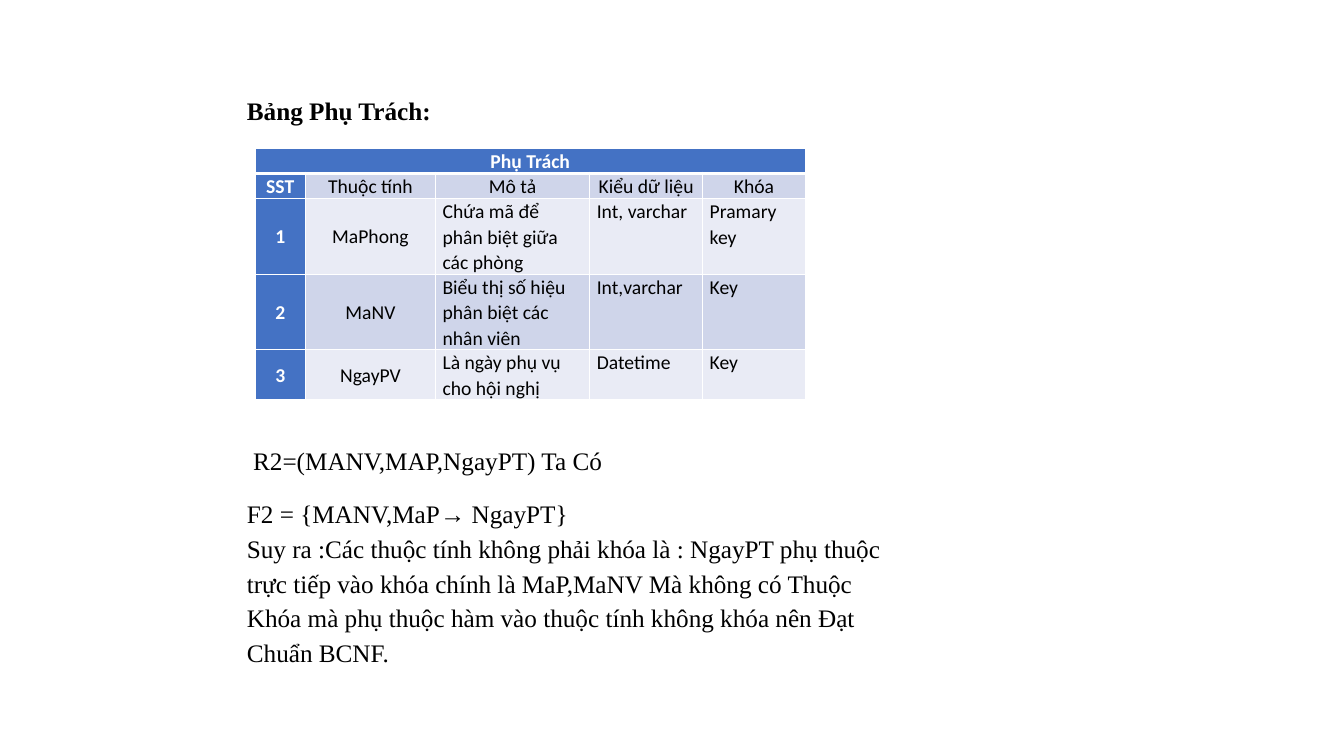
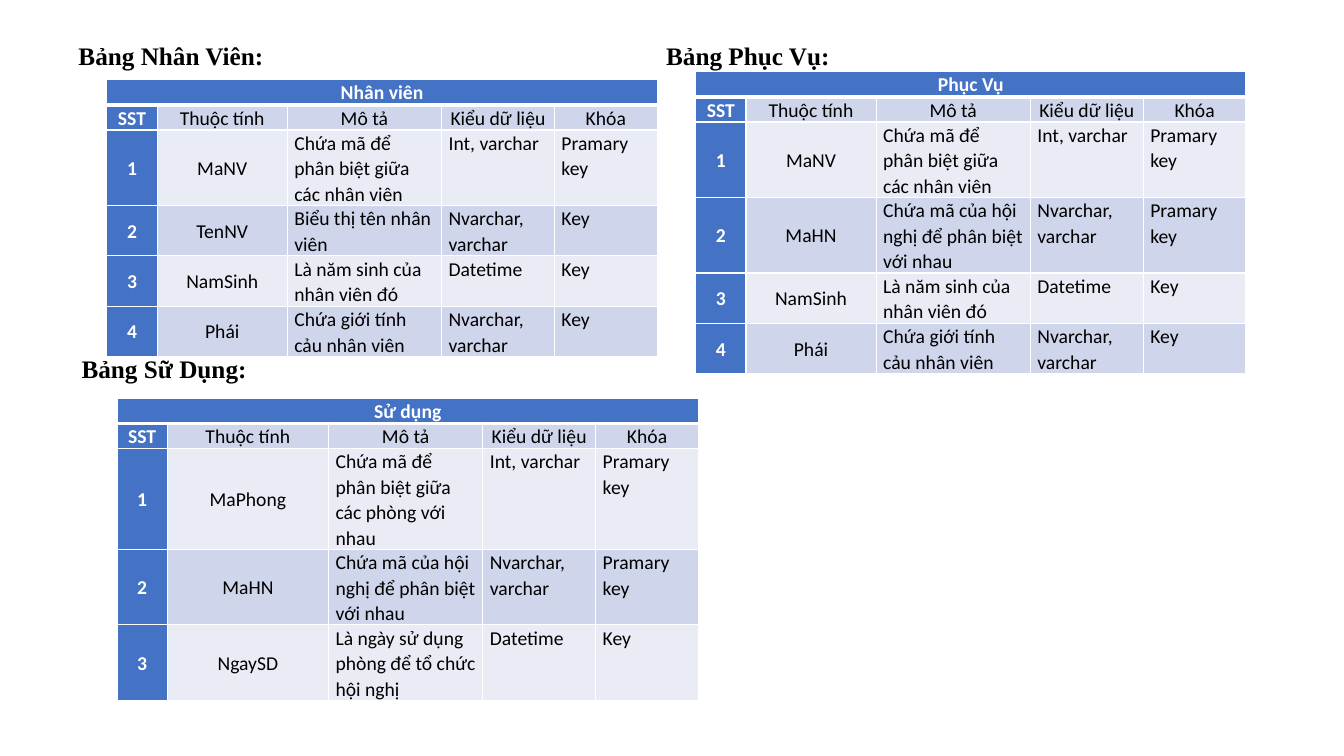
from math import ceil

from lxml.etree import SubElement
from pptx import Presentation
from pptx.dml.color import RGBColor
from pptx.enum.text import MSO_ANCHOR, MSO_AUTO_SIZE, PP_ALIGN
from pptx.oxml.ns import qn
from pptx.util import Inches, Pt

BLUE, LIGHT, PALE = "4472C4", "CFD5EA", "E9EBF5"
WHITE, BLACK = "FFFFFF", "000000"
SERIF, SANS = "Times New Roman", "Calibri"
LETTERS_PER_LINE = 14
LINE_ROWS = 3.33
HEADINGS = ["SST", "Thuộc tính", "Mô tả", "Kiểu dữ liệu", "Khóa"]

deck = Presentation()
deck.slide_width, deck.slide_height = Inches(13.33), Inches(7.5)
column, row = deck.slide_width / 100, deck.slide_height / 100


def paint(fill, color):
    fill.solid()
    fill.fore_color.rgb = RGBColor.from_string(color)


def style(paragraph, font_name, size, color, bold, spacing, before=0, indent=0, right=0):
    paragraph.line_spacing = spacing
    paragraph.space_before = Pt(before)
    properties = paragraph._p.get_or_add_pPr()
    properties.set("marL", str(Inches(indent)))
    properties.set("marR", str(Inches(right)))
    for run in paragraph.runs:
        run.font.name, run.font.size, run.font.bold = font_name, Pt(size), bold
        paint(run.font.fill, color)


staff_rows = [
    ("NamSinh", "Là năm sinh của nhân viên đó", "Datetime", "Key"),
    ("Phái", "Chứa giới tính cảu nhân viên", "Nvarchar, varchar", "Key"),
]
staff_key = ("MaNV", "Chứa mã để phân biệt giữa các nhân viên", "Int, varchar", "Pramary key")
meeting_key = ("MaHN", "Chứa mã của hội nghị để phân biệt với nhau", "Nvarchar, varchar", "Pramary key")

pages = [
    [
        dict(title="Bảng Phụ Trách:", title_at=(10.2, 8.93, 75.5, 7.47), layout=(1.76, 10, 0.99),
             name="Phụ Trách", table_at=(18.98, 19.6), attribute_width=9.68,
             rows=[("MaPhong", "Chứa mã để phân biệt giữa các phòng", "Int, varchar", "Pramary key"),
                   ("MaNV", "Biểu thị số hiệu phân biệt các nhân viên", "Int,varchar", "Key"),
                   ("NgayPV", "Là ngày phụ vụ cho hội nghị", "Datetime", "Key")]),
    ],
    [
        dict(title="Bảng Nhân Viên:", title_at=(5.1, 4.4, 50, 5.33), layout=(1.07, 2, 0),
             name="Nhân viên", table_at=(7.95, 10.53), attribute_width=9.68,
             rows=[staff_key, ("TenNV", "Biểu thị tên nhân viên", "Nvarchar, varchar", "Key"), *staff_rows]),
        dict(title="Bảng Phục Vụ:", title_at=(48.83, 4.4, 50, 5.33), layout=(1.07, 2, 0),
             name="Phục Vụ", table_at=(51.76, 9.47), attribute_width=9.68,
             rows=[staff_key, meeting_key, *staff_rows]),
        dict(title="Bảng Sữ Dụng:", title_at=(5.33, 46.13, 50, 5.33), layout=(1, 0, 0),
             name="Sử dụng", table_at=(8.7, 52.67), attribute_width=12,
             rows=[("MaPhong", "Chứa mã để phân biệt giữa các phòng với nhau", "Int, varchar", "Pramary key"),
                   meeting_key,
                   ("NgaySD", "Là ngày sử dụng phòng để tổ chức hội nghị", "Datetime", "Key")]),
    ],
]

for entities in pages:
    slide = deck.slides.add_slide(deck.slide_layouts[6])
    for entity in entities:
        left, top, width, height = entity["title_at"]
        title = slide.shapes.add_textbox(
            int(left * column), int(top * row), int(width * column), int(height * row)).text_frame
        title.word_wrap = True
        title.auto_size = MSO_AUTO_SIZE.SHAPE_TO_FIT_TEXT
        title.text = entity["title"]
        style(title.paragraphs[0], SERIF, 18, BLACK, True, *entity["layout"])

        widths = [3.75, entity["attribute_width"], 11.48, 8.4, 7.65]
        records = [[entity["name"], "", "", "", ""], HEADINGS]
        records += [[str(number), *record] for number, record in enumerate(entity["rows"], 1)]
        line_counts = [1, 1] + [ceil(len(record[1]) / LETTERS_PER_LINE) for record in entity["rows"]]
        left, top = entity["table_at"]
        table = slide.shapes.add_table(
            len(records), len(widths), int(left * column), int(top * row),
            int(sum(widths) * column), int(sum(line_counts) * LINE_ROWS * row)).table
        table.first_row = table.horz_banding = False
        for table_column, width in zip(table.columns, widths):
            table_column.width = int(width * column)
        for table_row, lines in zip(table.rows, line_counts):
            table_row.height = int(lines * LINE_ROWS * row)
        table.cell(0, 0).merge(table.cell(0, len(widths) - 1))

        for r, record in enumerate(records):
            for c, value in enumerate(record):
                cell = table.cell(r, c)
                key_cell = r == 0 or c == 0
                centred = r < 2 or c < 2
                cell.margin_left = cell.margin_right = Inches(0.07)
                cell.margin_top = cell.margin_bottom = 0
                cell.vertical_anchor = MSO_ANCHOR.MIDDLE if centred else MSO_ANCHOR.TOP
                for side in ("L", "R", "T", "B"):
                    thick = (r, side) in ((0, "B"), (1, "T"))
                    border = SubElement(cell._tc.get_or_add_tcPr(), qn(f"a:ln{side}"), w=str(Pt(3 if thick else 1)))
                    SubElement(SubElement(border, qn("a:solidFill")), qn("a:srgbClr"), val=WHITE)
                paint(cell.fill, BLUE if key_cell else LIGHT if r % 2 else PALE)
                if value:
                    cell.text_frame.text = value
                    paragraph = cell.text_frame.paragraphs[0]
                    paragraph.alignment = PP_ALIGN.CENTER if centred else PP_ALIGN.LEFT
                    style(paragraph, SANS, 14, WHITE if key_cell else BLACK, key_cell, 1.07)

proof = deck.slides[0].shapes.add_textbox(
    int(10.2 * column), int(55.2 * row), int(65.6 * column), int(33.7 * row)).text_frame
proof.word_wrap = True
proof.auto_size = MSO_AUTO_SIZE.SHAPE_TO_FIT_TEXT
dependency = proof.paragraphs[0]
dependency.text = " R2=(MANV,MAP,NgayPT) Ta Có\vF2 = {MANV,MaP"
for piece in ("→", " NgayPT}"):
    dependency.add_run().text = piece
style(dependency, SERIF, 18, BLACK, False, 1.76, 10, 0.99, 1.15)
dependency.runs[2].font.name = "Arial"
conclusion = proof.add_paragraph()
conclusion.text = (
    "Suy ra :Các thuộc tính không phải khóa là : NgayPT phụ thuộc trực tiếp vào khóa chính "
    "là MaP,MaNV Mà không có Thuộc Khóa mà phụ thuộc hàm vào thuộc tính không khóa nên Đạt Chuẩn BCNF.")
style(conclusion, SERIF, 18, BLACK, False, 1.15, 0, 0.99, 1.15)

deck.save("out.pptx")
